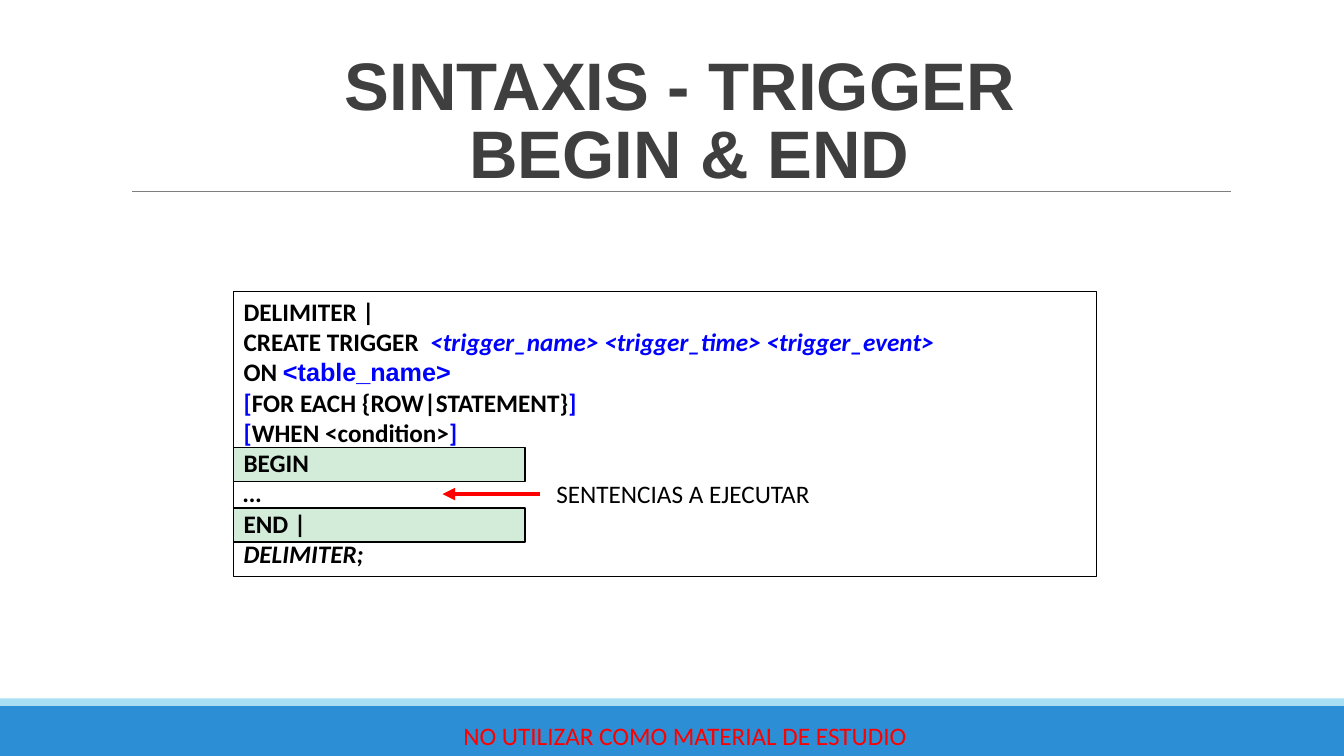
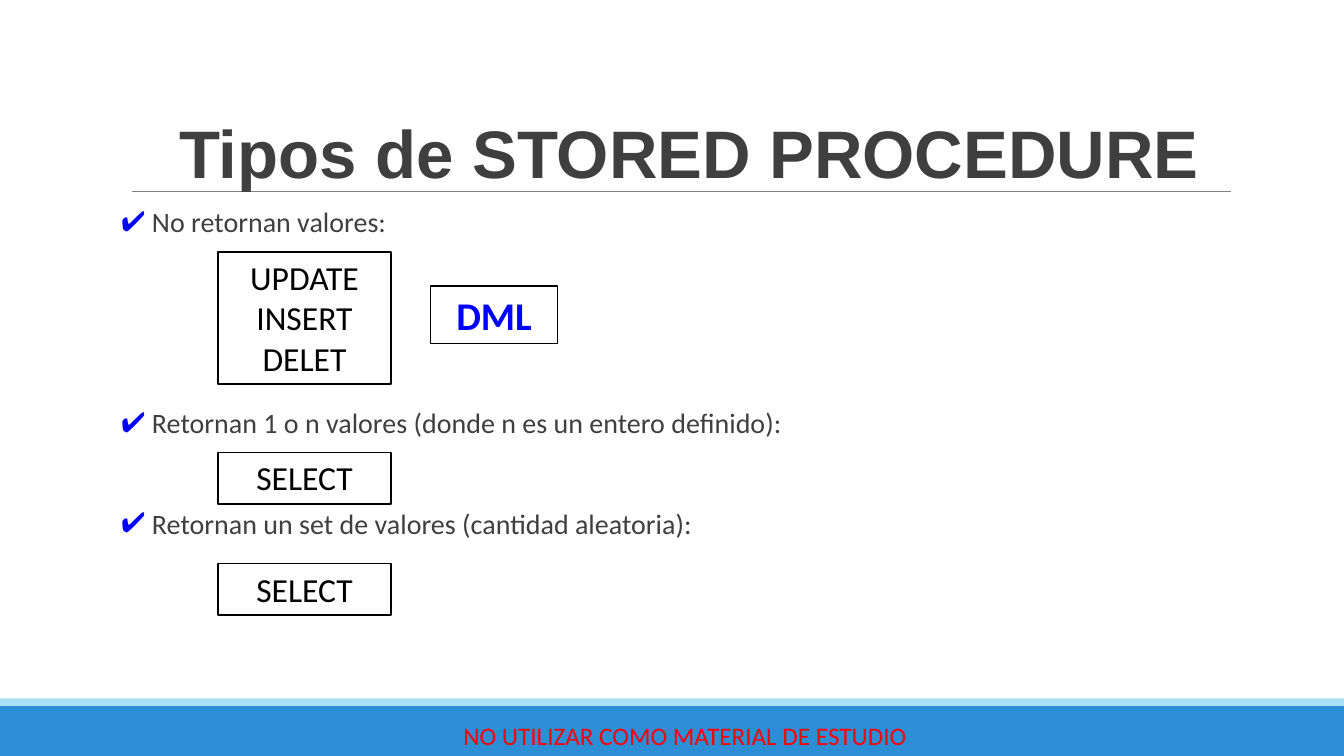
import pptx
import pptx.util
import pptx.dml.color
import pptx.enum.shapes
import pptx.enum.text
import pptx.oxml
import pptx.oxml.ns
from pptx.util import Cm

COLORS = {"band": "2C8ED5", "stripe": "A8DFF3", "rule": "7F7F7F", "text": "3F3F3F",
          "black": "000000", "blue": "0000FF", "red": "FF0000", "mark": "D3EBD9"}
ALIGN = pptx.enum.text.PP_ALIGN
ANCHOR = pptx.enum.text.MSO_ANCHOR
RECT = pptx.enum.shapes.MSO_SHAPE.RECTANGLE
STRAIGHT = pptx.enum.shapes.MSO_CONNECTOR.STRAIGHT
WIDTH, HEIGHT = 33.87, 19.05

# Run formats: size, name, bold, italic, color
TITLE = {"size": 48, "name": "Arial", "bold": True, "color": "text"}
BODY = {"size": 20, "name": "Calibri", "color": "text"}
PLAIN = {"size": 18, "name": "Calibri", "color": "black"}
FOOTER = {**PLAIN, "color": "red"}
CODE = {**PLAIN, "bold": True}
CODE_ITALIC = {**CODE, "italic": True}
BLUE = {**CODE, "color": "blue"}
ARGUMENT = {**BLUE, "italic": True}
TABLE_NAME = {**BLUE, "name": "Arial"}
COMMAND = {**PLAIN, "size": 24}
GROUP = {**BLUE, "size": 28}

FOOTER_TEXT = "NO UTILIZAR COMO MATERIAL DE ESTUDIO"
TRIGGER_TITLE = ["SINTAXIS - TRIGGER ", "BEGIN & END"]
TRIGGER_CODE = [
    [("DELIMITER |", CODE)],
    [("CREATE TRIGGER  ", CODE), ("<trigger_name> <trigger_time> <trigger_event>", ARGUMENT)],
    [("ON ", CODE), ("<table_name>", TABLE_NAME)],
    [("[", BLUE), ("FOR EACH {ROW|STATEMENT}", CODE), ("]", BLUE)],
    [("[", BLUE), ("WHEN <condition>", CODE), ("]", BLUE)],
    [("BEGIN", CODE)],
    [("…", CODE_ITALIC)],
    [("END |", CODE)],
    [("DELIMITER;", CODE_ITALIC)],
]
MARK_TOPS = (11.28, 12.8)
ARROW_LABEL = "SENTENCIAS A EJECUTAR"

PROCEDURE_TITLE = ["Tipos de STORED PROCEDURE"]
PROCEDURE_TYPES = [  # text, space before in points
    ("No retornan valores:", 0),
    ("Retornan 1 o n valores (donde n es un entero definido):", 122),
    ("Retornan un set de valores (cantidad aleatoria):", 50),
]
COMMAND_BOXES = [  # lines, format, (left, top, width, height)
    (["UPDATE", "INSERT", "DELET"], COMMAND, (5.49, 6.35, 4.37, 3.33)),
    (["DML"], GROUP, (10.85, 7.21, 3.2, 1.45)),
    (["SELECT"], COMMAND, (5.49, 11.4, 4.37, 1.3)),
    (["SELECT"], COMMAND, (5.49, 14.2, 4.37, 1.3)),
]


def rgb(name):
    return pptx.dml.color.RGBColor.from_string(COLORS[name])


def place(shape, box):
    for key, value in zip(("left", "top", "width", "height"), box):
        setattr(shape, key, Cm(value))


def write(shape, paragraphs, align=ALIGN.LEFT, anchor=ANCHOR.TOP, spacing=1.0):
    """Fill a shape with paragraphs, each a list of (text, format) runs."""
    tf = shape.text_frame
    tf.word_wrap = True
    tf.auto_size = pptx.enum.text.MSO_AUTO_SIZE.NONE
    tf.vertical_anchor = anchor
    for i, runs in enumerate(paragraphs):
        p = tf.paragraphs[0] if i == 0 else tf.add_paragraph()
        p.alignment, p.line_spacing = align, spacing
        p.space_before = p.space_after = pptx.util.Pt(0)
        for text, style in runs:
            r = p.add_run()
            r.text = text
            for key, value in style.items():
                if key == "color":
                    r.font.color.rgb = rgb(value)
                else:
                    setattr(r.font, key, pptx.util.Pt(value) if key == "size" else value)


def add_rect(s, box, fill=None, line=None):
    sp = s.shapes.add_shape(RECT, *map(Cm, box))
    sp.shadow.inherit = False
    if fill:
        sp.fill.solid()
        sp.fill.fore_color.rgb = rgb(fill)
    else:
        sp.fill.background()
    if line:
        sp.line.color.rgb = rgb(line)
        sp.line.width = pptx.util.Pt(1)
    else:
        sp.line.fill.background()
    return sp


def add_line(s, start, end, color, width, arrow=False):
    line = s.shapes.add_connector(STRAIGHT, *map(Cm, start + end))
    line.line.color.rgb = rgb(color)
    line.line.width = pptx.util.Pt(width)
    if arrow:
        add_xml(line.line._get_or_add_ln(), '<a:tailEnd %s type="triangle"/>')
    add_xml(line.element.spPr, "<a:effectLst %s/>")
    return line


def add_xml(parent, xml):
    parent.append(pptx.oxml.parse_xml(xml % pptx.oxml.ns.nsdecls("a")))


def add_label(s, box, text, style, **layout):
    sp = s.shapes.add_textbox(*map(Cm, box))
    write(sp, [[(text, style)]], **layout)
    return sp


def move_frame_to_master(prs, s):
    """Draw bands, rule and footer once and hand them to the slide master."""
    frame = [
        add_rect(s, (0, 17.78, WIDTH, 1.27), "band"),
        add_rect(s, (0, 17.6, WIDTH, 0.18), "stripe"),
        add_line(s, (3.33, 4.83), (31.01, 4.83), "rule", 0.75),
        add_label(s, (10.57, 18.03, 13.39, 1.02), FOOTER_TEXT, FOOTER,
                  align=ALIGN.CENTER, anchor=ANCHOR.MIDDLE),
    ]
    for number, shape in enumerate(frame, 100):
        shape.element.xpath(".//p:cNvPr")[0].set("id", str(number))
        prs.slide_master.shapes.element.append(shape.element)


def add_slide(prs, layout, title):
    s = prs.slides.add_slide(prs.slide_layouts.get_by_name(layout))
    place(s.shapes.title, (3.38, 0.51, 27.99, 4.47))
    write(s.shapes.title, [[(line, TITLE)] for line in title],
          align=ALIGN.CENTER, anchor=ANCHOR.BOTTOM, spacing=0.85)
    return s


def add_trigger_slide(prs):
    s = add_slide(prs, "Title Only", TRIGGER_TITLE)
    move_frame_to_master(prs, s)
    for top in MARK_TOPS:
        add_rect(s, (5.89, top, 7.34, 0.86), "mark", "black")
    write(add_rect(s, (5.89, 7.34, 21.74, 7.19), line="black"), TRIGGER_CODE)
    add_line(s, (13.61, 12.45), (11.15, 12.45), "red", 3, arrow=True)
    add_label(s, (13.77, 11.94, 6.96, 1.02), ARROW_LABEL, PLAIN)


def add_procedure_slide(prs):
    s = add_slide(prs, "Title and Content", PROCEDURE_TITLE)
    body = s.placeholders[1]
    place(body, (3.05, 5.13, 27.94, 11.18))
    write(body, [[(text, BODY)] for text, _ in PROCEDURE_TYPES], spacing=0.9)
    body.text_frame.margin_left = body.text_frame.margin_right = 0
    for p, (_, gap) in zip(body.text_frame.paragraphs, PROCEDURE_TYPES):
        p.space_before = pptx.util.Pt(gap)
        pPr = p._p.get_or_add_pPr()
        pPr.set("marL", str(Cm(0.78)))
        pPr.set("indent", str(Cm(-0.88)))
        add_xml(pPr, f'<a:buClr %s><a:srgbClr val="{COLORS["blue"]}"/></a:buClr>')
        add_xml(pPr, '<a:buChar %s char="✔"/>')
    for lines, style, box in COMMAND_BOXES:
        write(add_rect(s, box, line="black"), [[(line, style)] for line in lines],
              align=ALIGN.CENTER)


def main():
    prs = pptx.Presentation()
    prs.slide_width, prs.slide_height = Cm(WIDTH), Cm(HEIGHT)
    add_trigger_slide(prs)
    add_procedure_slide(prs)
    prs.save("out.pptx")


if __name__ == "__main__":
    main()
